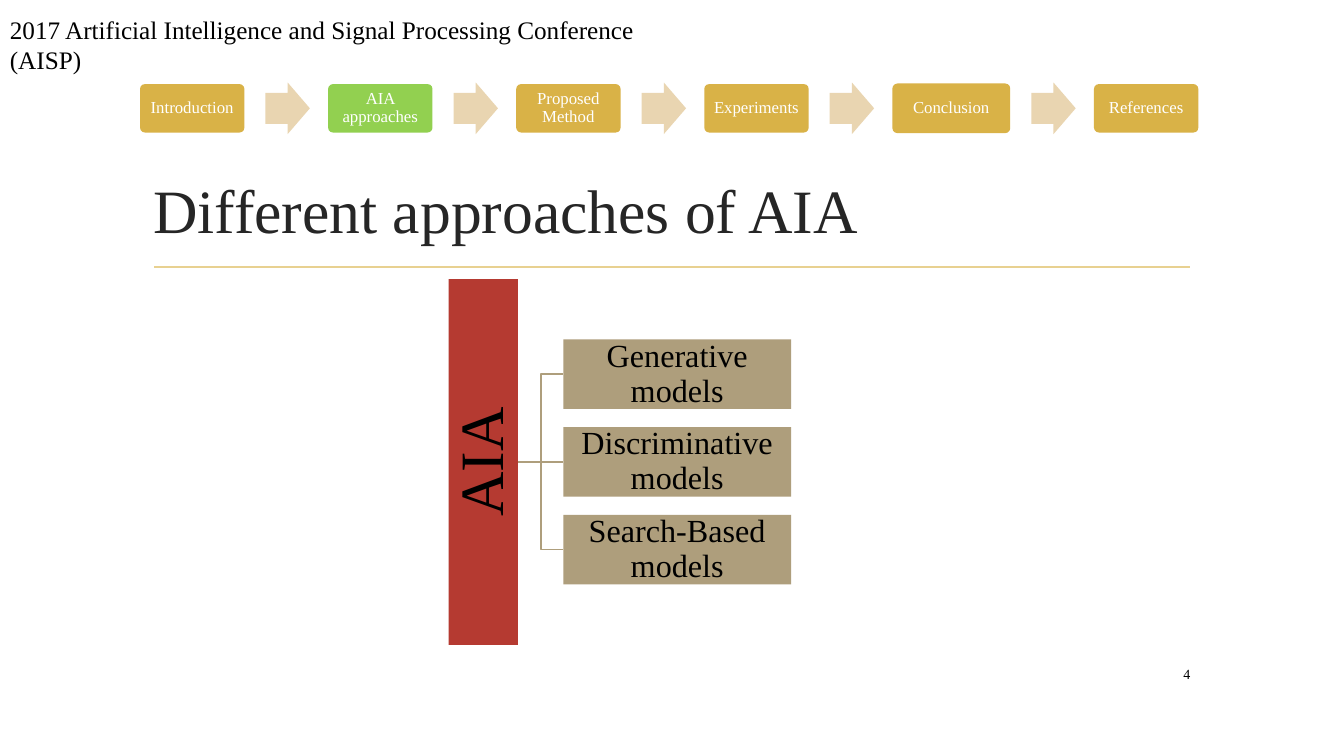
from typing import NamedTuple

from lxml import etree
from pptx import Presentation
from pptx import util as u
from pptx.dml.color import RGBColor
from pptx.enum import shapes, text
from pptx.oxml.ns import qn

FONT = "Times New Roman"
GOLD, GREEN, SAND = "D9B247", "92D050", "E9D5B1"
RED, TAN, RULE = "B53A31", "AE9E7C", "E8D191"
BLACK, WHITE, DARK = "000000", "FFFFFF", "262626"
LEFT, CENTER, RIGHT = text.PP_ALIGN.LEFT, text.PP_ALIGN.CENTER, text.PP_ALIGN.RIGHT
TOP, MIDDLE = text.MSO_ANCHOR.TOP, text.MSO_ANCHOR.MIDDLE
RECT = shapes.MSO_SHAPE.RECTANGLE


class Step(NamedTuple):
    label: str
    fill: str = GOLD
    width: float = 2.63
    height: float = 1.22


class Box(NamedTuple):
    """Left, top, width and height in centimetres."""
    x: float
    y: float
    w: float
    h: float

    def emu(self) -> list:
        return [u.Cm(v) for v in self]


STEPS = [
    Step("Introduction"),
    Step("AIA approaches", GREEN),
    Step("Proposed Method"),
    Step("Experiments"),
    Step("Conclusion", width=2.97, height=1.25),
    Step("References"),
]
MODELS = ["Generative models", "Discriminative models", "Search-Based models"]


def color(value: str) -> RGBColor:
    return RGBColor.from_string(value)


def write(sp, words: str, size: float, ink: str, align=LEFT, anchor=MIDDLE,
          inset: float | None = None, spacing: float | None = None) -> None:
    tf = sp.text_frame
    tf.word_wrap = True
    tf.vertical_anchor = anchor
    if inset is not None:
        tf.margin_left = tf.margin_right = tf.margin_top = tf.margin_bottom = u.Cm(inset)
    p = tf.paragraphs[0]
    p.text = words
    p.alignment = align
    p.line_spacing = spacing
    p.font.name, p.font.size = FONT, u.Pt(size)
    p.font.color.rgb = color(ink)


def add_text(s, box: Box, words: str, size: float, ink: str, **layout) -> None:
    write(s.shapes.add_textbox(*box.emu()), words, size, ink, **layout)


def add_block(s, kind, box: Box, fill: str, *adjustments: float):
    sp = s.shapes.add_shape(kind, *box.emu())
    sp.shadow.inherit = False
    sp.fill.solid()
    sp.fill.fore_color.rgb = color(fill)
    sp.line.fill.background()
    for i, value in enumerate(adjustments):
        sp.adjustments[i] = value
    return sp


def add_line(s, kind, x1: float, y1: float, x2: float, y2: float, ink: str):
    line = s.shapes.add_connector(kind, u.Cm(x1), u.Cm(y1), u.Cm(x2), u.Cm(y2))
    line.line.color.rgb = color(ink)
    line.line.width = u.Pt(1.25)
    etree.SubElement(line._element.spPr, qn("a:effectLst"))
    return line


def add_steps(s) -> None:
    x, mid_y, gap = 3.53, 2.73, 2.11
    arrow_w, arrow_h, arrow_offset = 1.12, 1.3, 0.53
    for i, step in enumerate(STEPS):
        box = Box(x, mid_y - step.height / 2, step.width, step.height)
        sp = add_block(s, shapes.MSO_SHAPE.ROUNDED_RECTANGLE, box, step.fill, 0.1)
        write(sp, step.label, 12, WHITE, align=CENTER, inset=0.16, spacing=0.9)
        x += step.width
        if i < len(STEPS) - 1:
            arrow = Box(x + arrow_offset, mid_y - arrow_h / 2, arrow_w, arrow_h)
            add_block(s, shapes.MSO_SHAPE.RIGHT_ARROW, arrow, SAND, 0.6, 0.5)
        x += gap


def add_hierarchy(s) -> None:
    mid_y, thick, pitch = 11.64, 1.75, 2.21
    root_x, root_len = 12.18, 9.22
    model_x, model_w = 14.2, 5.74

    # Root, turned to read upwards
    root = add_block(s, RECT, Box(root_x - root_len / 2, mid_y - thick / 2, root_len, thick), RED)
    root.rotation = 270
    write(root, "AIA", 44, BLACK, align=CENTER, inset=0.07, spacing=0.9)

    # Models and their branches
    for i, label in enumerate(MODELS):
        y = mid_y + (i - 1) * pitch
        model = add_block(s, RECT, Box(model_x, y - thick / 2, model_w, thick), TAN)
        write(model, label, 23, BLACK, align=CENTER, inset=0.04, spacing=0.9)
        kind = shapes.MSO_CONNECTOR.STRAIGHT if y == mid_y else shapes.MSO_CONNECTOR.ELBOW
        start_x = root_x + thick / 2
        branch = add_line(s, kind, start_x, mid_y, model_x, y, TAN)
        # Side 2 of the turned root faces right, so its start point is set again
        branch.begin_connect(root, 2)
        branch.begin_x, branch.begin_y = u.Cm(start_x), u.Cm(mid_y)
        branch.end_connect(model, 1)


def main() -> None:
    prs = Presentation()
    prs.slide_width, prs.slide_height = u.Cm(33.87), u.Cm(19.05)
    s = prs.slides.add_slide(prs.slide_layouts[6])

    # Title and rule
    add_line(s, shapes.MSO_CONNECTOR.STRAIGHT, 3.89, 6.73, 30, 6.73, RULE)
    add_text(s, Box(3.61, 4.09, 26.67, 2.36), "Different approaches of AIA", 44, DARK)

    # Conference name
    add_text(s, Box(0, 0.23, 18.03, 1.02),
             "2017 Artificial Intelligence and Signal Processing Conference (AISP)",
             18, BLACK, anchor=TOP)

    add_steps(s)
    add_hierarchy(s)

    # Slide number
    add_text(s, Box(28.75, 16.59, 1.5, 0.79), "4", 10, BLACK, align=RIGHT)
    prs.save("out.pptx")


if __name__ == "__main__":
    main()
